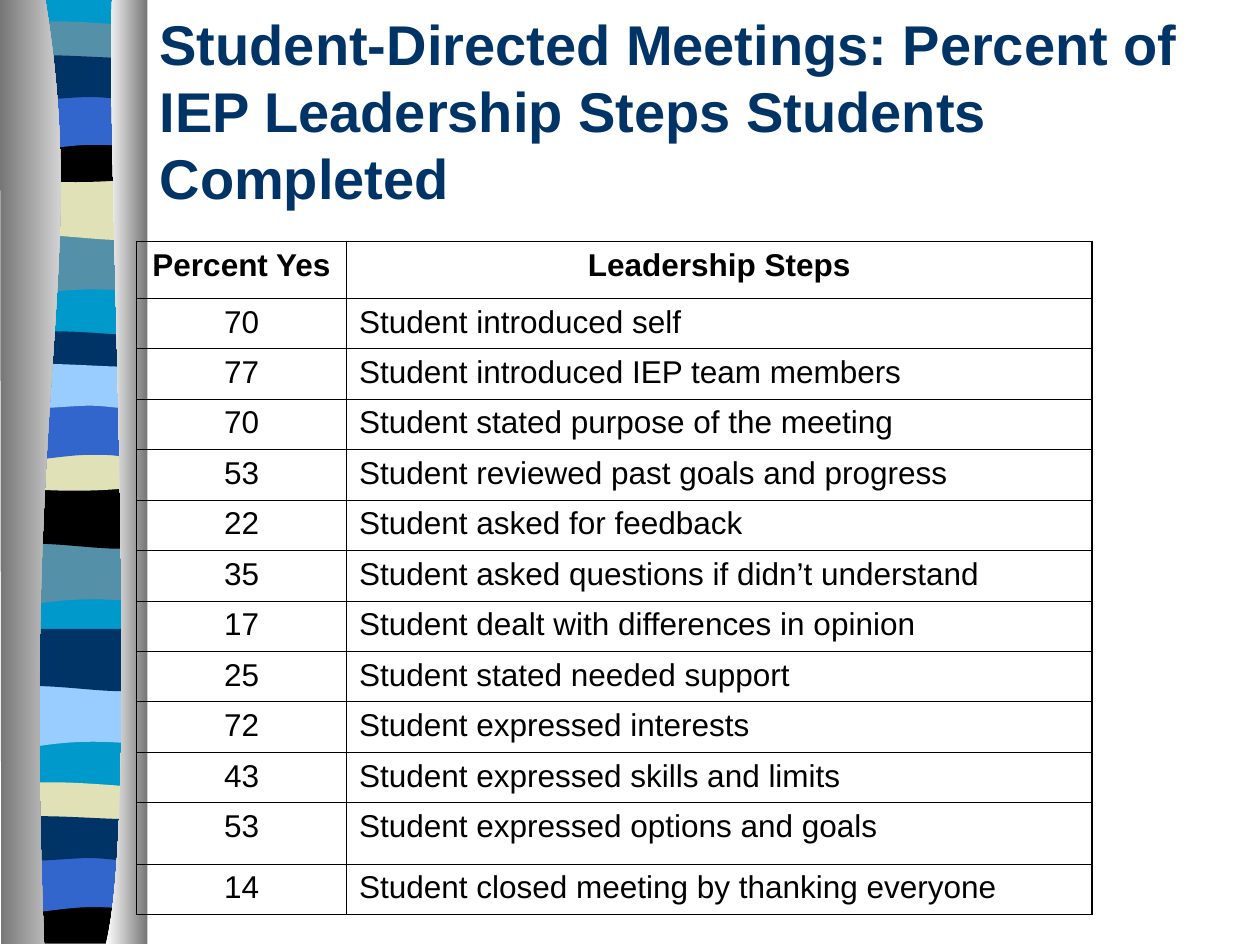
import pptx
import pptx.util
import pptx.dml.color
import pptx.enum.text
import pptx.oxml
import pptx.oxml.ns

Inches, Pt = pptx.util.Inches, pptx.util.Pt
Colour = pptx.dml.color.RGBColor.from_string
Align = pptx.enum.text.PP_ALIGN
qn = pptx.oxml.ns.qn

THEME = {
    "font": "Arial", "title_size": 32, "table_size": 18,
    "ink": "000000", "navy": "003366", "blue": "3366CC", "sky": "99CCFF",
    "cyan": "0099CC", "teal": "5490A8", "sand": "E1E1B7",
    "shade": "767676", "light": "FFFFFF",
    "outer_line": 1.08, "inner_line": 0.45,
}
GRID = Pt(6)  # 120 columns by 90 rows


def write_text(frame, text, size, colour="ink", bold=False, align=Align.LEFT):
    para = frame.paragraphs[0]
    para.alignment = align
    span = para.add_run()
    span.text = text
    span.font.name = THEME["font"]
    span.font.size = Pt(THEME[size])
    span.font.bold = bold
    span.font.color.rgb = Colour(THEME[colour])


def draw_outline(group, outline, left=0, top=0):
    """Pairs are corners; sextuples are cubic curves from the point before."""
    # Work in thousandths of an inch
    points = [((left + x) * 1000, (top + y) * 1000)
              for part in outline for x, y in zip(part[::2], part[1::2])]
    builder = group.shapes.build_freeform(*points[0], scale=Inches(1) / 1000)
    builder.add_line_segments(points[1:], close=True)
    shape = builder.convert_to_shape()
    # Join three lines into one curve wherever the outline asks for it
    lines = iter(list(shape.element.iter(qn("a:lnTo"))))
    for part in outline[1:]:
        first = next(lines)
        if len(part) == 6:
            first.tag = qn("a:cubicBezTo")
            for other in (next(lines), next(lines)):
                first.append(other[0])
                other.getparent().remove(other)
    shape.shadow.inherit = False
    shape.line.fill.background()
    return shape


deck = pptx.Presentation()
deck.slide_width, deck.slide_height = Inches(10), Inches(7.5)
page = deck.slides.add_slide(deck.slide_layouts[5])

# Ribbon: outlines shared by the coloured bands
OUTLINES = {
    "base": [(1.08, 0), (1.08, 7.47), (0, 7.47), (0, 0)],
    "wave": [(1.08, 0), (1.08, 0.47), (0.33, 0.39, 0.18, 0.55, 0, 0.47), (0, 0)],
    "swell": [(1.08, 0), (1.08, 0.47), (0.9, 0.55, 0.33, 0.41, 0, 0.47), (0, 0)],
    "lens": [(1.08, 0.05), (1.08, 0.29), (0.9, 0.33, 0.18, 0.33, 0, 0.29), (0, 0.05),
             (0.06, 0, 0.23, 0.01, 0.41, 0.01), (0.59, 0.01, 0.94, 0.04, 1.08, 0.05)],
    "bowl": [(1.08, 0), (1.08, 0.32), (0.9, 0.38, 0.18, 0.38, 0, 0.32), (0, 0),
             (0.66, 0.05, 0.85, 0, 1.08, 0)],
    "foot": [(1.08, 0), (1.08, 0.37), (0, 0.37), (0, 0), (0.66, 0.05, 0.85, 0, 1.08, 0)],
    "arch": [(1.08, 0), (1.08, 0.47), (0.91, 0.41, 0.84, 0.41, 0.66, 0.41),
             (0.48, 0.41, 0.16, 0.47, 0, 0.47), (0, 0)],
    "flag": [(1.08, 0.05), (1.08, 0.36), (1.01, 0.41, 0.84, 0.36, 0.66, 0.36),
             (0.48, 0.36, 0.11, 0.41, 0, 0.36), (0, 0.05),
             (0.15, 0, 0.73, 0.05, 0.91, 0.05), (1.09, 0.05, 1.04, 0.05, 1.08, 0.05)],
}
BANDS = [  # outline, left, top, colour, from back to front
    ("base", 0.06, 0, "cyan"),
    ("wave", 0.06, 1.85, "teal"), ("swell", 0.06, 1.41, "sand"),
    ("lens", 0.06, 0.16, "teal"), ("bowl", 0.06, 1.08, "ink"),
    ("arch", 0.06, 0.74, "blue"), ("flag", 0.06, 0.41, "navy"),
    ("wave", 0.05, 4.31, "teal"), ("swell", 0.05, 3.86, "ink"),
    ("lens", 0.05, 2.62, "navy"), ("bowl", 0.05, 3.53, "sand"),
    ("arch", 0.05, 3.2, "blue"), ("flag", 0.05, 2.86, "sky"),
    ("wave", 0.06, 5.44, "sky"), ("swell", 0.06, 4.99, "navy"),
    ("lens", 0.05, 6.2, "sand"), ("foot", 0.05, 7.12, "ink"),
    ("arch", 0.05, 6.79, "blue"), ("flag", 0.05, 6.45, "navy"),
]
ribbon = page.shapes.add_group_shape()
for outline, left, top, colour in BANDS:
    band = draw_outline(ribbon, OUTLINES[outline], left, top)
    band.fill.solid()
    band.fill.fore_color.rgb = Colour(THEME[colour])

# Shaded curtains on both sides of the ribbon
CURTAINS = [
    ([(0.36, 0), (0.71, 2.16, 0.17, 2.96, 0.35, 7.49), (0.01, 7.49), (0, 0)],
     ("shade", "light")),
    ([(0.89, 0), (0.84, 1.25, 1.12, 6.46, 0.84, 7.49), (1.17, 7.49), (1.17, 0)],
     ("light", "shade")),
]
for outline, colours in CURTAINS:
    curtain = draw_outline(ribbon, outline)
    curtain.fill.gradient()
    curtain.fill.gradient_angle = 0
    for stop, position, colour in zip(curtain.fill.gradient_stops, (0, 1), colours):
        stop.position = position
        stop.color.rgb = Colour(THEME[colour])

# The ribbon belongs to the master, behind its placeholders
for number, label in enumerate(ribbon.element.iter(qn("p:cNvPr")), start=100):
    label.set("id", str(number))
deck.slide_master.element.cSld.spTree.insert(2, ribbon.element)

# Table of leadership steps
ROWS = [
    ("Percent Yes", "Leadership Steps"),
    ("70", "Student introduced self"),
    ("77", "Student introduced IEP team members"),
    ("70", "Student stated purpose of the meeting"),
    ("53", "Student reviewed past goals and progress"),
    ("22", "Student asked for feedback"),
    ("35", "Student asked questions if didn’t understand"),
    ("17", "Student dealt with differences in opinion"),
    ("25", "Student stated needed support"),
    ("72", "Student expressed interests"),
    ("43", "Student expressed skills and limits"),
    ("53", "Student expressed options and goals"),
    ("14", "Student closed meeting by thanking everyone"),
]
COLUMN_WIDTHS = (20 * GRID, 71 * GRID)
ROW_HEIGHTS = [Pt(32.4)] + [Pt(28.85)] * 10 + [Pt(35), Pt(28.85)]
last_row, last_column = len(ROWS) - 1, len(COLUMN_WIDTHS) - 1
table = page.shapes.add_table(
    len(ROWS), len(COLUMN_WIDTHS), 13 * GRID, 23 * GRID,
    sum(COLUMN_WIDTHS), sum(ROW_HEIGHTS)).table
table.first_row = table.horz_banding = False
for column, width in zip(table.columns, COLUMN_WIDTHS):
    column.width = width
for row, height in zip(table.rows, ROW_HEIGHTS):
    row.height = height

for r, texts in enumerate(ROWS):
    for c, text in enumerate(texts):
        cell = table.cell(r, c)
        cell.fill.background()
        write_text(cell.text_frame, text, "table_size", bold=r == 0,
                   align=Align.CENTER if r == 0 or c == 0 else Align.LEFT)
        # Thicker lines on the outside of the table
        outside = {"L": c == 0, "R": c == last_column, "T": r == 0, "B": r == last_row}
        for place, (side, outer) in enumerate(outside.items()):
            width = Pt(THEME["outer_line" if outer else "inner_line"])
            border = pptx.oxml.parse_xml(
                f'<a:ln{side} {pptx.oxml.ns.nsdecls("a")} w="{width}"><a:solidFill>'
                f'<a:srgbClr val="{THEME["ink"]}"/></a:solidFill></a:ln{side}>')
            cell._tc.get_or_add_tcPr().insert(place, border)

# Title, in front of the table
title = page.shapes.title
title.left, title.top = 14 * GRID, 3 * GRID
title.width, title.height = 102 * GRID, 15 * GRID
title.text_frame.word_wrap = True
title.text_frame.auto_size = pptx.enum.text.MSO_AUTO_SIZE.NONE
title.text_frame.vertical_anchor = pptx.enum.text.MSO_ANCHOR.MIDDLE
write_text(title.text_frame,
           "Student-Directed Meetings: Percent of IEP Leadership Steps Students Completed",
           "title_size", colour="navy", bold=True)
page.element.cSld.spTree.append(title.element)

deck.save("out.pptx")
